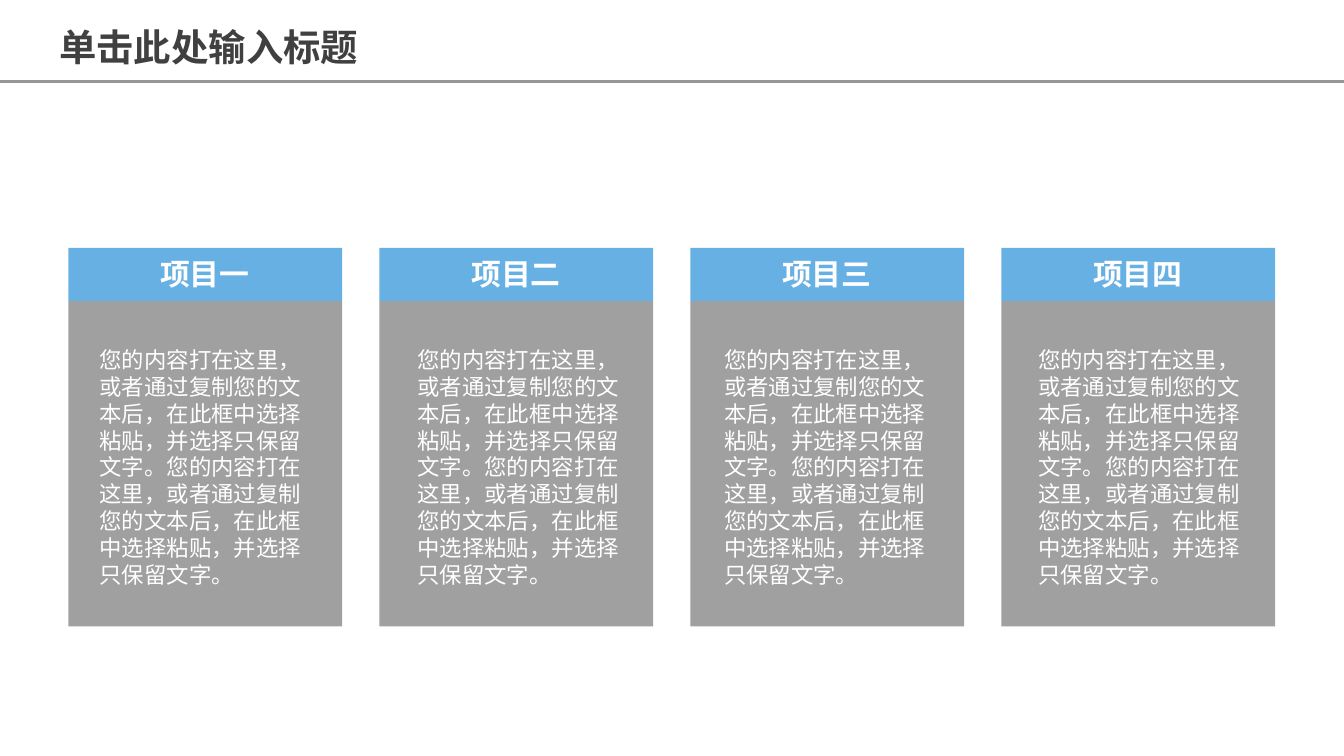
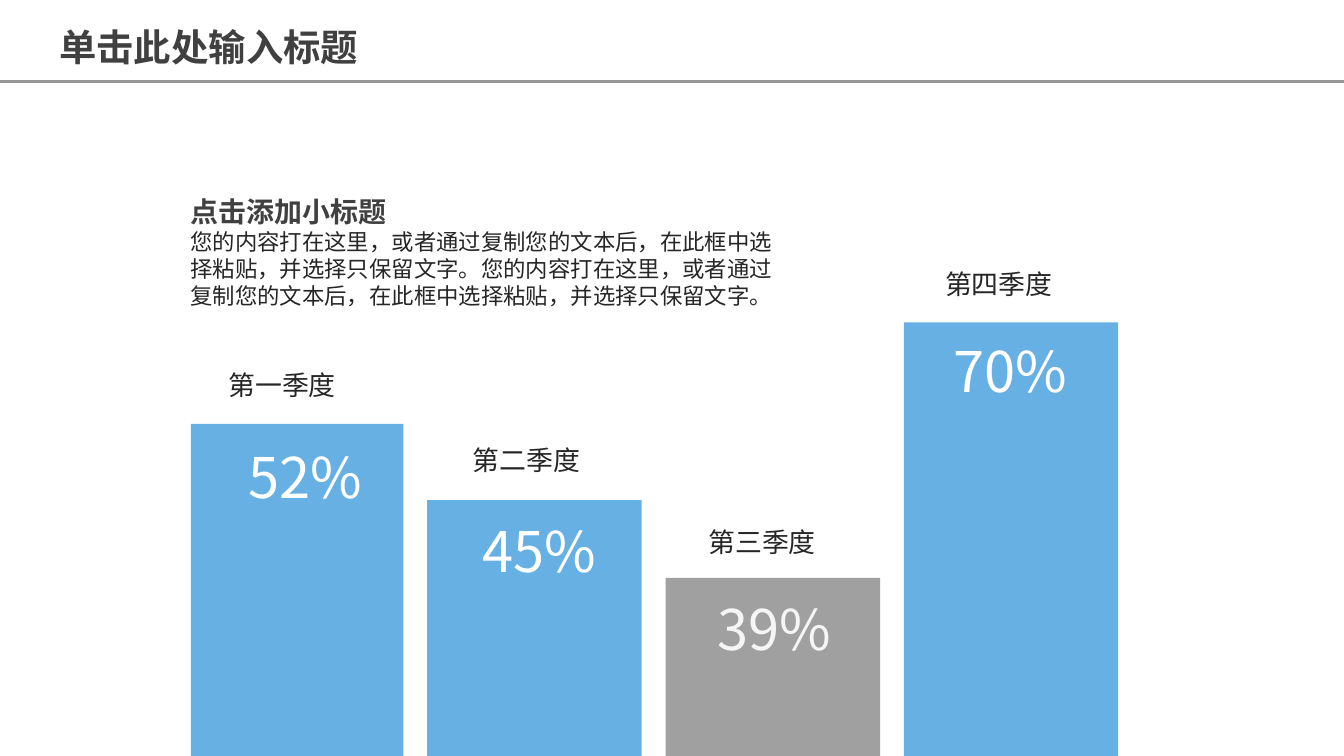
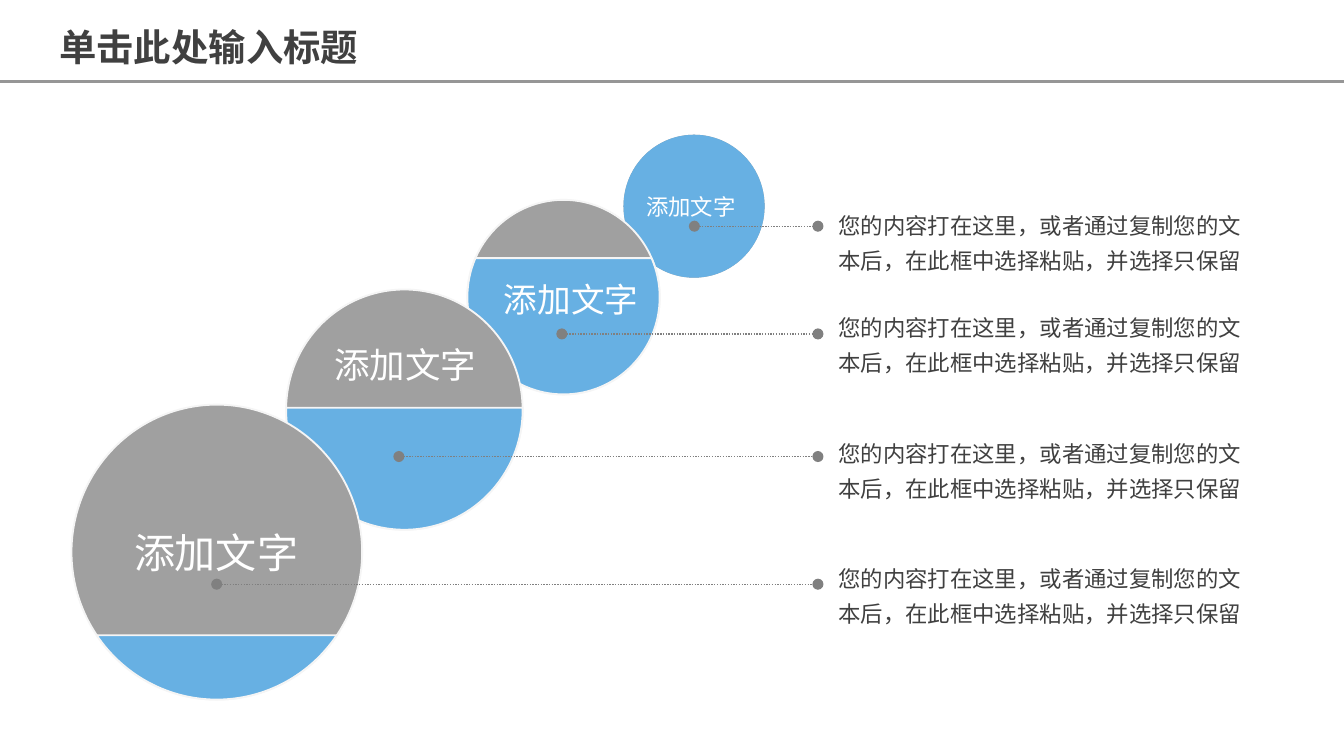
from math import asin, cos, pi, sin, tan

from lxml.etree import SubElement
from pptx import Presentation
from pptx.dml.color import RGBColor
from pptx.enum.dml import MSO_LINE
from pptx.enum.shapes import MSO_CONNECTOR, MSO_SHAPE, MSO_SHAPE_TYPE
from pptx.enum.text import MSO_ANCHOR, MSO_AUTO_SIZE, PP_ALIGN
from pptx.oxml.ns import qn
from pptx.util import Pt

FONT = "Noto Sans CJK SC"
BLUE = RGBColor(0x67, 0xB0, 0xE3)
GRAY = RGBColor(0xA0, 0xA0, 0xA0)
RULE_GRAY = RGBColor(0x96, 0x96, 0x96)
LEADER_GRAY = RGBColor(0x80, 0x80, 0x80)
WHITE = RGBColor(0xFF, 0xFF, 0xFF)
OFF_WHITE = RGBColor(0xF5, 0xF5, 0xF5)
DARK = RGBColor(0x40, 0x40, 0x40)
INK = RGBColor(0x26, 0x26, 0x26)

SENTENCE = "您的内容打在这里，或者通过复制您的文本后，在此框中选择粘贴，并选择只保留文字。"


def paint(shape, fill, outline=None):
    shape.shadow.inherit = False
    shape.fill.solid()
    shape.fill.fore_color.rgb = fill
    if outline is None:
        shape.line.fill.background()
    else:
        shape.line.color.rgb = outline
        shape.line.width = Pt(1)


def add_text(slide, box, paragraphs, inset=(5.2, 2.7), align=PP_ALIGN.LEFT,
             wrap=True, anchor=MSO_ANCHOR.TOP, caps=None):
    """Each paragraph is (text, size, color, bold, line spacing)."""
    frame = slide.shapes.add_textbox(*map(Pt, box)).text_frame
    frame.word_wrap = wrap
    frame.auto_size = MSO_AUTO_SIZE.SHAPE_TO_FIT_TEXT
    frame.vertical_anchor = anchor
    frame.margin_left = frame.margin_right = Pt(inset[0])
    frame.margin_top = frame.margin_bottom = Pt(inset[1])
    for i, (text, size, color, bold, spacing) in enumerate(paragraphs):
        paragraph = frame.add_paragraph() if i else frame.paragraphs[0]
        paragraph.text = text
        paragraph.alignment = align
        paragraph.line_spacing = spacing
        font = paragraph.font
        font.name, font.size, font.bold = FONT, Pt(size), bold
        font.color.rgb = color
        properties = paragraph._p.pPr.find(qn("a:defRPr"))
        SubElement(properties, qn("a:ea"), typeface=FONT)
        if caps:
            properties.set("cap", caps)


prs = Presentation()
prs.slide_width, prs.slide_height = Pt(720), Pt(405)

# Shared rule under the title
for _ in range(3):
    slide = prs.slides.add_slide(prs.slide_layouts[6])
    rule = slide.shapes.add_connector(
        MSO_CONNECTOR.STRAIGHT, Pt(0), Pt(43.7), Pt(720), Pt(43.7))
    rule.line.color.rgb = RULE_GRAY
    rule.line.width = Pt(1.75)
cards_slide, quarters_slide, circles_slide = prs.slides

# Slide 1: four project cards
cards = [("项目一", 48.2, 119), ("项目二", 218.5, 119),
         ("项目三", 382.7, 124.6), ("项目四", 551, 121.7)]
for i, (heading, body_left, body_width) in enumerate(cards):
    left = 36.6 + 166.6 * i
    for top, height, color in ((132.9, 28.4, BLUE), (161.3, 174.4, GRAY)):
        paint(cards_slide.shapes.add_shape(
            MSO_SHAPE.RECTANGLE, Pt(left), Pt(top), Pt(146.7), Pt(height)), color)
    add_text(cards_slide, (left + 23.9, 134.3, 98.6, 24.5),
             [(heading, 16, WHITE, True, 1)], align=PP_ALIGN.CENTER)
    add_text(cards_slide, (body_left, 182.7, body_width, 136),
             [(SENTENCE * 2, 12, WHITE, False, 1)])

# Slide 2: quarter bars standing on the bottom edge
quarters = [
    # name, share, bar left, top and width, bar color, share color, share place, name place
    ("第一季度", "52%", (102.3, 227.1, 113.8), BLUE, WHITE, (127.8, 234.3), (118, 194.3)),
    ("第二季度", "45%", (228.8, 267.9, 114.9), BLUE, WHITE, (253.2, 273.8), (248.8, 234.3)),
    ("第三季度", "39%", (356.6, 309.6, 114.9), GRAY, OFF_WHITE, (379.2, 315.7), (375.1, 278.2)),
    ("第四季度", "70%", (484.3, 172.7, 114.8), BLUE, WHITE, (505.6, 177.8), (502, 140.1)),
]
for name, share, (left, top, width), color, share_color, share_at, name_at in quarters:
    paint(quarters_slide.shapes.add_shape(
        MSO_SHAPE.RECTANGLE, Pt(left), Pt(top), Pt(width), Pt(405 - top)), color)
    add_text(quarters_slide, (*share_at, 73.4, 41.8),
             [(share, 30, share_color, False, 1)], wrap=False)
    add_text(quarters_slide, (*name_at, 82.8, 23.8),
             [(name, 18, INK, False, 0.9)], inset=(4.3, 2.2), caps="small")
add_text(quarters_slide, (96.8, 83.5, 331.2, 85.7),
         [("点击添加小标题", 15, DARK, True, 2), (SENTENCE * 2, 12, INK, False, 1)])

# Slide 3: growing circles, each filled in blue below its cut
circles = [
    # left, top, width, height, cut
    (334, 72.2, 75.6, 76.6, None),
    (250.4, 107.1, 103, 104.2, 138.3),
    (153.3, 155.1, 126.7, 128.7, 218.4),
    (38.3, 216.8, 155.7, 158, 340.3),
]
for left, top, width, height, cut in circles:
    box = [Pt(v) for v in (left, top, width, height)]
    if cut is None:
        for color in (GRAY, BLUE):
            paint(circles_slide.shapes.add_shape(MSO_SHAPE.OVAL, *box), color)
        continue
    paint(circles_slide.shapes.add_shape(MSO_SHAPE.OVAL, *box), GRAY, OFF_WHITE)
    radius_x, radius_y = width / 2, height / 2
    center_x, center_y = left + radius_x, top + radius_y
    start = asin((cut - center_y) / radius_y)
    angles = [start, pi / 2, pi - start]
    if start < 0:
        angles = [start, 0, pi / 2, pi, pi - start]
    knots = [(center_x + radius_x * cos(a), center_y + radius_y * sin(a)) for a in angles]
    builder = circles_slide.shapes.build_freeform(*map(Pt, knots[-1]))
    builder.add_line_segments([(Pt(x), Pt(y)) for x, y in knots], close=True)
    segment = builder.convert_to_shape()
    paint(segment, BLUE, OFF_WHITE)

    # Round the sides below the cut
    sides = list(segment._element.iter(qn("a:lnTo")))[1:]
    for i, side in enumerate(sides):
        (a, b), (p, q) = angles[i:i + 2], knots[i:i + 2]
        reach = 4 / 3 * tan((b - a) / 4)
        controls = [
            (p[0] - reach * radius_x * sin(a), p[1] + reach * radius_y * cos(a)),
            (q[0] + reach * radius_x * sin(b), q[1] - reach * radius_y * cos(b)),
        ]
        side.tag = qn("a:cubicBezTo")
        for n, (x, y) in enumerate(controls):
            control = SubElement(side, qn("a:pt"), x=str(Pt(x) - segment.left),
                                 y=str(Pt(y) - segment.top))
            side.insert(n, control)

# Circle captions
for box, size in (((66.2, 279.4, 100.1, 32.4), 22), ((173.5, 180.7, 88.6, 28.8), 19),
                  ((264.4, 146.6, 84.2, 27.4), 18), ((340.6, 100.8, 59.8, 20.2), 12)):
    add_text(circles_slide, box, [("添加文字", size, WHITE, False, 1)],
             inset=(5.6, 2.8), wrap=False, anchor=MSO_ANCHOR.MIDDLE)

# Dotted leaders and their notes
for start_x, y, note_top in ((372, 121.2, 106.6), (301, 178.9, 161.3),
                             (213.7, 244.6, 228.5), (116.1, 313, 295.7)):
    leader = circles_slide.shapes.add_connector(
        MSO_CONNECTOR.STRAIGHT, Pt(start_x), Pt(y), Pt(438.2), Pt(y))
    leader.line.color.rgb = LEADER_GRAY
    leader.line.width = Pt(0.75)
    leader.line.dash_style = MSO_LINE.ROUND_DOT
    outline = leader._element.spPr.find(qn("a:ln"))
    for end in ("a:headEnd", "a:tailEnd"):
        SubElement(outline, qn(end), type="oval")
    add_text(circles_slide, (443.3, note_top, 238.3, 45.4),
             [(SENTENCE.removesuffix("文字。"), 12, DARK, False, 1.3)], inset=(5.8, 2.9))

# Shared title, and lines without shadow
for slide in prs.slides:
    add_text(slide, (24.6, 4.6, 188, 36),
             [("单击此处输入标题", 20, DARK, True, 1.2)], inset=(7.2, 3.6))
    for shape in slide.shapes:
        if shape.shape_type == MSO_SHAPE_TYPE.LINE:
            SubElement(shape._element.spPr, qn("a:effectLst"))

prs.save("out.pptx")
